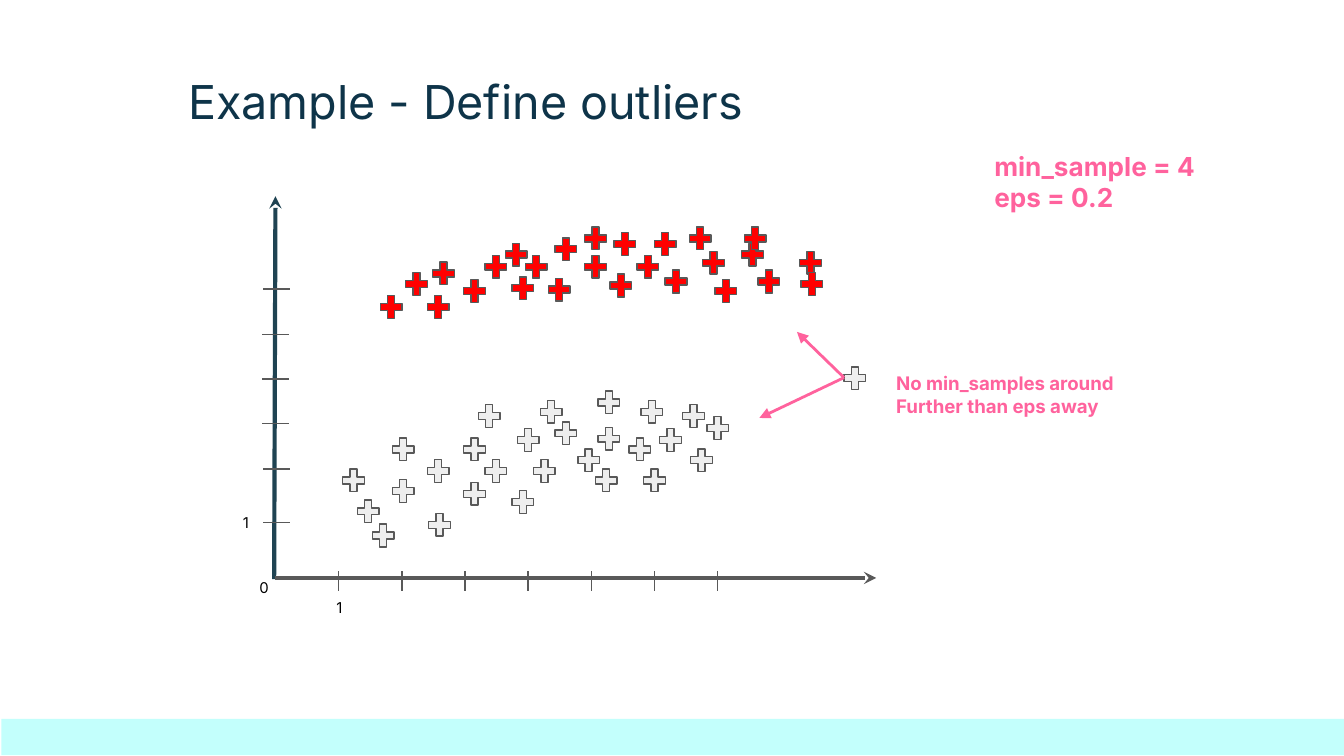
from lxml import etree
from pptx import Presentation
from pptx.dml.color import RGBColor
from pptx.enum.shapes import MSO_CONNECTOR, MSO_SHAPE
from pptx.enum.text import MSO_ANCHOR, MSO_AUTO_SIZE, PP_ALIGN
from pptx.oxml.ns import qn
from pptx.util import Inches, Pt

STRAIGHT = MSO_CONNECTOR.STRAIGHT
RECTANGLE, PLUS = MSO_SHAPE.RECTANGLE, MSO_SHAPE.MATH_PLUS
TOP, MIDDLE = MSO_ANCHOR.TOP, MSO_ANCHOR.MIDDLE
LEFT, CENTER, RIGHT = PP_ALIGN.LEFT, PP_ALIGN.CENTER, PP_ALIGN.RIGHT
NO_FIT = MSO_AUTO_SIZE.NONE
TITLE_ONLY = 5

THEME = {
    "font": "Inter",
    "title": RGBColor(0x0E, 0x34, 0x49),
    "band": RGBColor(0xC3, 0xFF, 0xFC),
    "y_axis": RGBColor(0x1F, 0x43, 0x52),
    "gray": RGBColor(0x59, 0x59, 0x59),
    "unassigned": RGBColor(0xEE, 0xEE, 0xEE),
    "cluster": RGBColor(0xFF, 0x00, 0x00),
    "accent": RGBColor(0xFF, 0x62, 0x9D),
    "label": RGBColor(0x00, 0x00, 0x00),
    "title_size": Pt(25),
    "parameter_size": Pt(14),
    "note_size": Pt(10),
    "label_size": Pt(8),
}


def write_text(box, lines, size, color, bold=False, align=LEFT, anchor=TOP):
    frame = box.text_frame
    frame_format = {"word_wrap": True, "auto_size": NO_FIT, "vertical_anchor": anchor}
    for side in ("left", "right", "top", "bottom"):
        frame_format[f"margin_{side}"] = Inches(0.1)
    for name, value in frame_format.items():
        setattr(frame, name, value)
    frame.text = "\n".join(lines)
    font_format = {"name": THEME["font"], "size": THEME[size], "bold": bold}
    for paragraph in frame.paragraphs:
        paragraph.alignment = align
        for run in paragraph.runs:
            for name, value in font_format.items():
                setattr(run.font, name, value)
            run.font.color.rgb = THEME[color]


def add_line(start, end, color, width, arrowhead=None):
    points = [Inches(value) for value in (*start, *end)]
    line = slide.shapes.add_connector(STRAIGHT, *points)
    line.line.color.rgb = THEME[color]
    line.line.width = Pt(width)
    if arrowhead:
        etree.SubElement(line.line._get_or_add_ln(), qn("a:tailEnd"), type=arrowhead)
    etree.SubElement(line._element.spPr, qn("a:effectLst"))


# Widescreen slide, 16:9
prs = Presentation()
prs.slide_width, prs.slide_height = Inches(10), Inches(10 * 9 / 16)
slide = prs.slides.add_slide(prs.slide_layouts[TITLE_ONLY])

# Title
title = slide.shapes.title
title_place = {"left": 1.3, "top": 0.44, "width": 6.67, "height": 0.58}
for name, value in title_place.items():
    setattr(title, name, Inches(value))
write_text(title, ["Example - Define outliers"], "title_size", "title")

# Footer band
band = slide.shapes.add_shape(
    RECTANGLE, Inches(0.01), Inches(5.35), Inches(10), Inches(0.27))
band.shadow.inherit = False
band.fill.solid()
band.fill.fore_color.rgb = THEME["band"]
band.line.fill.background()

# Axes
add_line((2.04, 4.31), (2.05, 1.46), "y_axis", 2.25, "stealth")
add_line((2.05, 4.3), (6.52, 4.3), "gray", 2.25, "stealth")

# Samples: top left corner of each plus
lower_samples = [
    (2.52, 3.46), (2.74, 3.87), (2.89, 3.54), (3.16, 3.79), (2.89, 3.23),
    (3.53, 2.98), (3.94, 3.39), (3.78, 3.62), (3.82, 3.16), (3.15, 3.39),
    (3.42, 3.56), (3.42, 3.23), (3.58, 3.39), (4.1, 3.11), (4.27, 3.31),
    (3.99, 2.95), (4.42, 3.15), (4.65, 3.23), (4.42, 2.88), (4.74, 2.95),
    (5.23, 3.07), (4.4, 3.46), (4.88, 3.16), (5.05, 2.98), (4.76, 3.46),
    (5.11, 3.31), (2.63, 3.69),
]
upper_samples = [
    (3.58, 1.87), (3.42, 2.05), (3.73, 1.78), (3.78, 2.03), (3.88, 1.87),
    (4.05, 2.04), (4.1, 1.74), (4.32, 1.66), (4.32, 1.87), (4.54, 1.7),
    (4.71, 1.87), (4.51, 2.01), (2.99, 2), (3.15, 2.17), (2.8, 2.17),
    (4.84, 1.7), (4.92, 1.98), (5.1, 1.66), (5.2, 1.84), (5.29, 2.05),
    (5.49, 1.78), (5.61, 1.98), (5.51, 1.66), (5.92, 1.84), (5.93, 2),
    (3.19, 1.92),
]
outlier = (6.25, 2.7)
sample_groups = [
    (lower_samples, "unassigned"),
    (upper_samples, "cluster"),
    ([outlier], "unassigned"),
]
for samples, color in sample_groups:
    for x, y in samples:
        sample = slide.shapes.add_shape(
            PLUS, Inches(x), Inches(y), Inches(0.22), Inches(0.23))
        sample.adjustments[0] = 0.235
        sample.shadow.inherit = False
        sample.fill.solid()
        sample.fill.fore_color.rgb = THEME[color]
        sample.line.color.rgb = THEME["gray"]
        sample.line.width = Pt(0.75)

# Axis ticks
for step in range(7):
    x = 2.52 + 0.47 * step
    add_line((x, 4.25), (x, 4.4), "gray", 0.75)
y_ticks = [(1.96, 3.89), (1.96, 3.49), (1.95, 3.15),
           (1.95, 2.82), (1.95, 2.49), (1.96, 2.15)]
for x, y in y_ticks:
    add_line((x, y), (x + 0.2, y), "gray", 0.75)

# Axis labels, parameters and outlier note
texts = [
    ((2.27, 4.45, 0.51, 0.14), ["1"], "label_size", "label", False, CENTER, MIDDLE),
    ((1.71, 4.3, 0.51, 0.14), ["0"], "label_size", "label", False, CENTER, MIDDLE),
    ((1.44, 3.82, 0.51, 0.14), ["1"], "label_size", "label", False, RIGHT, MIDDLE),
    ((7.3, 1.02, 2.47, 0.56), ["min_sample = 4", "eps = 0.2"],
     "parameter_size", "accent", True, LEFT, TOP),
    ((6.57, 2.82, 2.64, 0.23), ["No min_samples around", "Further than eps away"],
     "note_size", "accent", True, LEFT, MIDDLE),
]
for place, *content in texts:
    box = slide.shapes.add_textbox(*(Inches(value) for value in place))
    write_text(box, *content)

# Arrows from the outlier to both groups
for target in ((5.93, 2.47), (5.65, 3.11)):
    add_line((6.28, 2.81), target, "accent", 1.5, "triangle")

prs.save("out.pptx")
